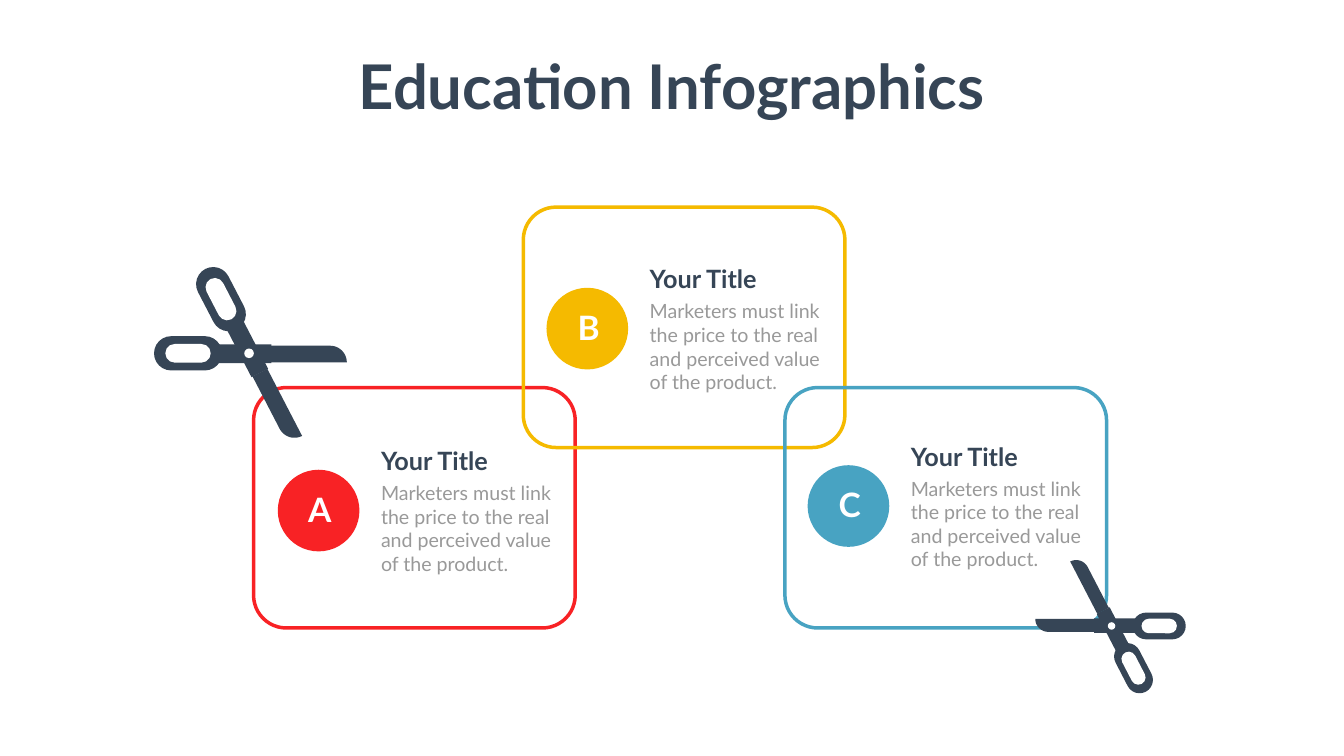
from math import cos, pi, radians, sin

from pptx import Presentation
from pptx.dml.color import RGBColor
from pptx.enum.shapes import MSO_SHAPE
from pptx.enum.text import MSO_AUTO_SIZE, PP_ALIGN
from pptx.util import Inches, Pt

DARK, GREY, WHITE = "364556", "999999", "FFFFFF"
BODY = "Marketers must link the price to the real and perceived value of the product."
CARD_WIDTH, CARD_HEIGHT, CARD_RADIUS = 6.38, 4.77, 0.65
CIRCLE_SIZE = 1.62
ARM_SPREAD = 62.6
CARDS = [
    ("A", "F82225", (5.03, 7.69), (5.51, 9.32)),
    ("B", "F5BA00", (10.38, 4.11), (10.84, 5.71)),
    ("C", "48A3C2", (15.57, 7.69), (16.02, 9.23)),
]


def rgb(color):
    """Return the colour for a hex string."""
    return RGBColor.from_string(color)


def paint(shape, fill=None, line=None, width=5):
    """Set the fill and outline of a shape and remove its shadow."""
    shape.shadow.inherit = False
    if fill:
        shape.fill.solid()
        shape.fill.fore_color.rgb = rgb(fill)
    else:
        shape.fill.background()
    if line:
        shape.line.color.rgb = rgb(line)
        shape.line.width = Pt(width)
    else:
        shape.line.fill.background()


def add_preset(slide, kind, left, top, width, height, **colors):
    """Add a painted preset shape."""
    shape = slide.shapes.add_shape(
        kind, Inches(left), Inches(top), Inches(width), Inches(height))
    paint(shape, **colors)
    return shape


def add_text(slide, text, left, top, width, height, *, size, color,
             bold=False, align=PP_ALIGN.LEFT, wrap=True):
    """Add a text box holding one formatted paragraph."""
    box = slide.shapes.add_textbox(
        Inches(left), Inches(top), Inches(width), Inches(height))
    frame = box.text_frame
    frame.word_wrap = wrap
    frame.auto_size = MSO_AUTO_SIZE.SHAPE_TO_FIT_TEXT
    paragraph = frame.paragraphs[0]
    paragraph.alignment = align
    run = paragraph.add_run()
    run.text = text
    run.font.name = "Lato"
    run.font.size = Pt(size)
    run.font.bold = bold
    run.font.color.rgb = rgb(color)


def add_card_frame(slide, color, left, top):
    """Add the rounded outline of a card."""
    frame = add_preset(slide, MSO_SHAPE.ROUNDED_RECTANGLE, left, top,
                       CARD_WIDTH, CARD_HEIGHT, line=color)
    frame.adjustments[0] = CARD_RADIUS / CARD_HEIGHT


def add_card_content(slide, letter, color, left, top):
    """Add the lettered circle of a card with its title and body."""
    add_preset(slide, MSO_SHAPE.OVAL, left, top, CIRCLE_SIZE, CIRCLE_SIZE, fill=color)
    add_text(slide, BODY, left + 1.95, top + 0.18, 3.8, 1.99, size=28, color=GREY)
    add_text(slide, "Your Title", left + 1.95, top - 0.53, 3.57, 0.71,
             size=36, color=DARK, bold=True)
    add_text(slide, letter, left + 0.08, top + 0.33, 1.51, 0.91,
             size=48, color=WHITE, bold=True, align=PP_ALIGN.CENTER)


def add_arm(slide, pivot, scale, angle, side):
    """Add one scissor arm, mirrored across its axis when side is -1."""
    turn = radians(angle)

    def place(along, across):
        across *= side
        return (pivot[0] + scale * (along * cos(turn) - across * sin(turn)),
                pivot[1] + scale * (along * sin(turn) + across * cos(turn)))

    def add_part(kind, along, across, length, thickness, color):
        x, y = place(along, across)
        width, height = length * scale, thickness * scale
        part = add_preset(slide, kind, x - width / 2, y - height / 2,
                          width, height, fill=color)
        part.rotation = angle
        return part

    tip = [(1.61 + 0.33 * cos(step * pi / 24), 0.18 - 0.33 * sin(step * pi / 24))
           for step in range(13)]
    corners = [(0.44, 0.18), *tip, (0.44, -0.15)]
    points = [tuple(Inches(value) for value in place(*corner)) for corner in corners]
    builder = slide.shapes.build_freeform(*points[0], scale=1.0)
    builder.add_line_segments(points[1:], close=True)
    paint(builder.convert_to_shape(), fill=DARK)

    add_part(MSO_SHAPE.RECTANGLE, -0.09, 0.01, 1.07, 0.37, DARK)
    for length, thickness, color in [(1.35, 0.68, DARK), (0.9, 0.37, WHITE)]:
        loop = add_part(MSO_SHAPE.ROUNDED_RECTANGLE, -1.21, 0, length, thickness, color)
        loop.adjustments[0] = 0.5


def add_scissors(slide, x, y, scale, angle):
    """Add open scissors turned about their pivot."""
    add_arm(slide, (x, y), scale, angle, 1)
    add_arm(slide, (x, y), scale, angle + ARM_SPREAD, -1)
    size = 0.19 * scale
    add_preset(slide, MSO_SHAPE.OVAL, x - size / 2, y - size / 2, size, size, fill=WHITE)


def main():
    """Build the slide and save it."""
    presentation = Presentation()
    presentation.slide_width = Inches(26.66)
    presentation.slide_height = Inches(15)
    slide = presentation.slides.add_slide(presentation.slide_layouts[6])
    add_text(slide, "Education Infographics", 6.88, 0.91, 12.89, 1.58,
             size=88, color=DARK, bold=True, align=PP_ALIGN.CENTER, wrap=False)
    for _, color, corner, _ in CARDS:
        add_card_frame(slide, color, *corner)
    add_scissors(slide, 22.05, 12.42, 0.78, 180)
    add_scissors(slide, 4.94, 7.01, 1, 0)
    for letter, color, _, circle in CARDS:
        add_card_content(slide, letter, color, *circle)
    presentation.save("out.pptx")


if __name__ == "__main__":
    main()
